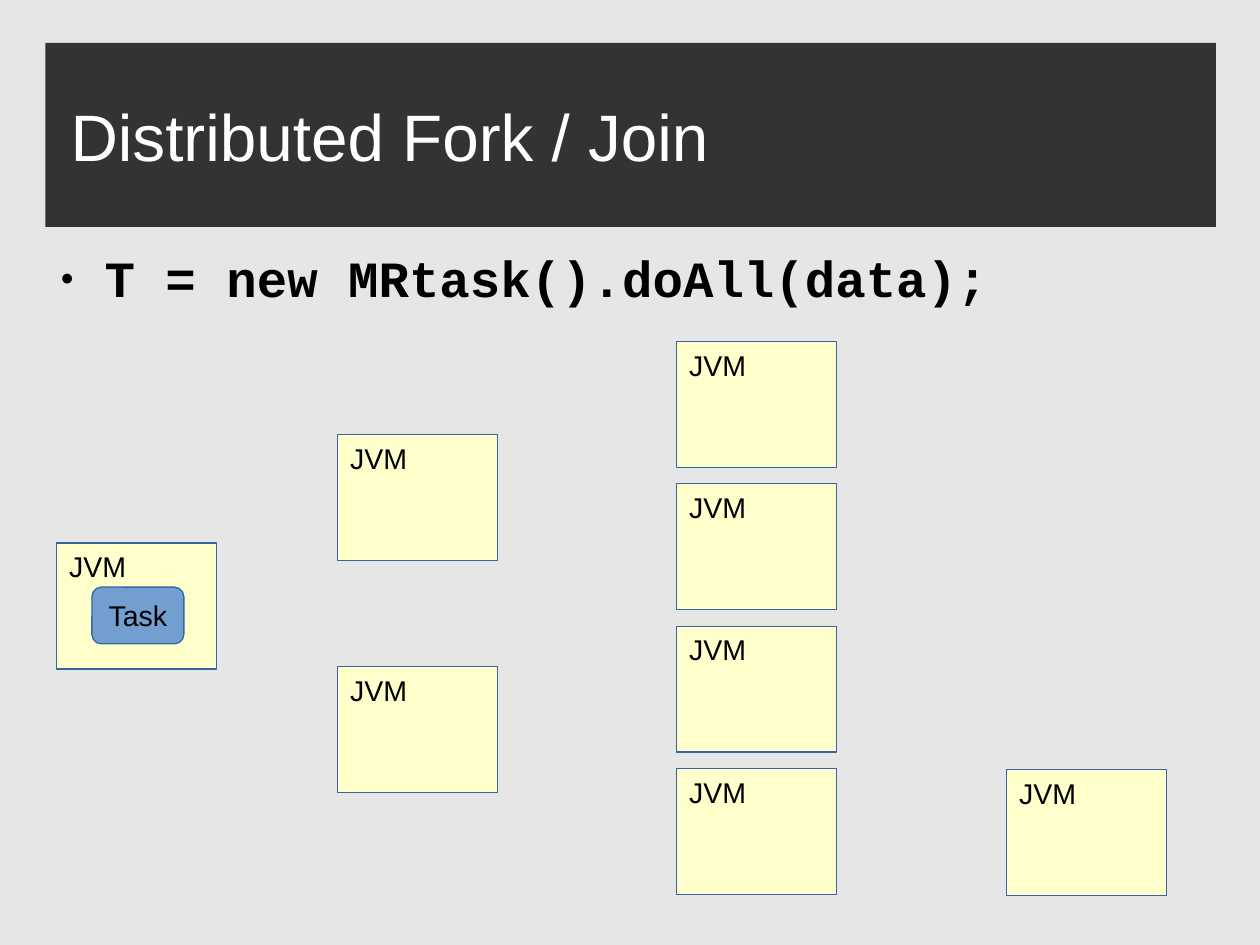
from lxml import etree
from pptx import Presentation
from pptx.dml.color import RGBColor
from pptx.enum.shapes import MSO_SHAPE
from pptx.enum.text import MSO_ANCHOR, MSO_AUTO_SIZE, PP_ALIGN
from pptx.oxml.ns import qn
from pptx.util import Inches, Pt

RECT, ROUND = MSO_SHAPE.RECTANGLE, MSO_SHAPE.ROUNDED_RECTANGLE
TOP, MIDDLE = MSO_ANCHOR.TOP, MSO_ANCHOR.MIDDLE
LEFT, CENTER = PP_ALIGN.LEFT, PP_ALIGN.CENTER
FIXED = MSO_AUTO_SIZE.NONE

GREY = RGBColor(0xE6, 0xE6, 0xE6)
DARK = RGBColor(0x33, 0x33, 0x33)
WHITE = RGBColor(0xFF, 0xFF, 0xFF)
BLACK = RGBColor(0, 0, 0)
CREAM = RGBColor(0xFF, 0xFF, 0xCC)
BLUE = RGBColor(0x72, 0x9F, 0xCF)
EDGE = RGBColor(0x34, 0x65, 0xA4)

NODE_W, NODE_H = 1.27, 1
STEP = 1.13  # row pitch of the four leaf nodes
LEAVES = [(5.37, 2.71 + STEP * row) for row in range(4)]
NODES = [(0.45, 4.31), (2.68, 5.29), (2.68, 3.45), *LEAVES, (7.99, 6.11)]


def place(shape, x, y, w, h):
    shape.left, shape.top = Inches(x), Inches(y)
    shape.width, shape.height = Inches(w), Inches(h)


def set_frame(frame, pad_x=0.1, pad_y=0.05, anchor=TOP):
    frame.word_wrap = True
    frame.auto_size = FIXED
    frame.vertical_anchor = anchor
    frame.margin_left = frame.margin_right = Inches(pad_x)
    frame.margin_top = frame.margin_bottom = Inches(pad_y)


def add_run(para, text, size=16.3, color=BLACK, face="Arial", bold=False):
    run = para.add_run()
    run.text = text
    font = run.font
    font.size, font.name, font.bold = Pt(size), face, bold
    font.color.rgb = color


def set_indent(para, margin, hang=0):
    props = para._p.get_or_add_pPr()
    props.set("marL", str(Inches(margin)))
    props.set("indent", str(Inches(hang)))
    return props


def add_bullet(para):
    props = set_indent(para, 0.47, -0.35)
    color = etree.SubElement(props, qn("a:buClr"))
    etree.SubElement(color, qn("a:srgbClr"), val=str(BLACK))
    etree.SubElement(props, qn("a:buSzPct"), val="45000")
    etree.SubElement(props, qn("a:buChar"), char="●")


def add_box(slide, kind, x, y, w, h, fill):
    box = slide.shapes.add_shape(
        kind, Inches(x), Inches(y), Inches(w), Inches(h))
    box.shadow.inherit = False
    box.fill.solid()
    box.fill.fore_color.rgb = fill
    box.line.color.rgb = EDGE
    box.line.width = Pt(0)
    return box


def add_node(slide, x, y):
    add_box(slide, RECT, x, y, NODE_W, NODE_H, CREAM)
    label = slide.shapes.add_textbox(
        Inches(x), Inches(y), Inches(0.91), Inches(0.35))
    set_frame(label.text_frame)
    add_run(label.text_frame.paragraphs[0], "JVM")


def add_task(slide, x, y):
    task = add_box(slide, ROUND, x, y, 0.73, 0.45, BLUE)
    set_frame(task.text_frame, anchor=MIDDLE)
    para = task.text_frame.paragraphs[0]
    para.alignment = CENTER
    add_run(para, "Task")


def fill_title(title):
    place(title, 0.36, 0.34, 9.29, 1.46)
    title.fill.solid()
    title.fill.fore_color.rgb = DARK
    set_frame(title.text_frame, 0, 0, MIDDLE)
    para = title.text_frame.paragraphs[0]
    para.alignment = LEFT
    set_indent(para, 0.2)
    add_run(para, "Distributed Fork / Join", 37.5, WHITE)


def fill_body(body):
    place(body, 0.36, 1.96, 9.29, 4.64)
    set_frame(body.text_frame, 0, 0)
    para = body.text_frame.paragraphs[0]
    add_bullet(para)
    para.space_before, para.space_after = Pt(0), Pt(12.8)
    add_run(para, "T = new MRtask().doAll(data);", 29,
            face="Courier New", bold=True)


def main():
    deck = Presentation()
    deck.slide_width, deck.slide_height = Inches(10), Inches(7.5)
    slide = deck.slides.add_slide(deck.slide_layouts[1])
    slide.background.fill.solid()
    slide.background.fill.fore_color.rgb = GREY

    # Heading and code line
    fill_title(slide.shapes.title)
    fill_body(slide.placeholders[1])

    # Tree of nodes, with the task in the first one
    for x, y in NODES:
        add_node(slide, x, y)
    add_task(slide, 0.73, 4.66)

    deck.save("out.pptx")


if __name__ == "__main__":
    main()
